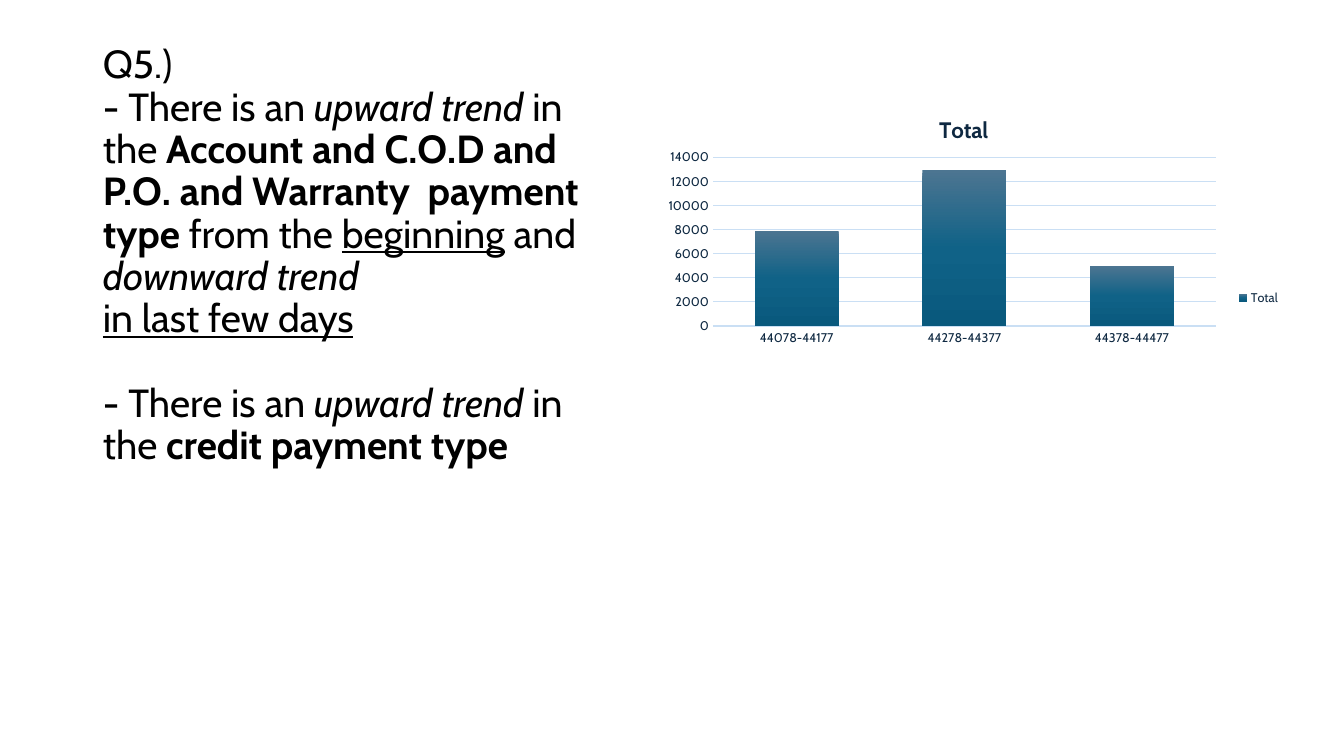
import copy

import lxml.etree
import pptx
import pptx.chart.data
import pptx.dml.color
import pptx.enum.chart
import pptx.enum.text
import pptx.oxml
import pptx.util

PX = 9071  # EMU in one px, 100.8 px to the inch
FONT, BLACK, NAVY, GRID = "Cabin", "000000", "0E2841", "CADFF4"
PLAIN, ITALIC, BOLD, UNDERLINE = {}, {"italic": True}, {"bold": True}, {"underline": True}

# Each paragraph: space before in points, then its spans
ANSWER = [
    (0, [("Q5.)", PLAIN)]),
    (0, [("- There is an ", PLAIN), ("upward trend ", ITALIC), ("in the ", PLAIN),
         ("Account and C.O.D and P.O. and Warranty  payment type ", BOLD),
         ("from the ", PLAIN), ("beginning", UNDERLINE), (" and ", PLAIN),
         ("downward trend", ITALIC)]),
    (0, [("in last few days", UNDERLINE)]),
    (30, [("- There is an", PLAIN), (" upward trend ", ITALIC), ("in the ", PLAIN),
          ("credit payment type", BOLD)]),
]
ANSWER_BOX = (93, 40, 505, 641)
CHART_BOX = (637, 97, 653, 402)
TOTALS = {"44078-44177": 7900, "44278-44377": 12900, "44378-44477": 5000}
COLUMN_STOPS = [(0, "4C7591"), (0.5, "106287"), (1, "09597D")]
PLOT_AREA = {"x": 0.116, "y": 0.15, "w": 0.77, "h": 0.42}


def emu(box):
    return [length * PX for length in box]


def colour(value):
    return pptx.dml.color.RGBColor.from_string(value)


def style_font(font, size, value, **formats):
    font.color.rgb = colour(value)
    for name, setting in {"name": FONT, "size": pptx.util.Pt(size), **formats}.items():
        setattr(font, name, setting)


def style_line(line):
    line.color.rgb = colour(GRID)
    line.width = pptx.util.Pt(0.75)


def add_answer(page):
    frame = page.shapes.add_textbox(*emu(ANSWER_BOX)).text_frame
    frame.word_wrap = True
    frame.vertical_anchor = pptx.enum.text.MSO_ANCHOR.TOP
    for index, (space, spans) in enumerate(ANSWER):
        para = frame.add_paragraph() if index else frame.paragraphs[0]
        para.line_spacing = 0.9
        para.space_before = pptx.util.Pt(space)
        for text, formats in spans:
            span = para.add_run()
            span.text = text
            style_font(span.font, 28, BLACK, **formats)


def fill_columns(series):
    fill = series.format.fill
    fill.gradient()
    fill.gradient_angle = 270
    stop_list = series.format.fill.gradient_stops
    first = series._element.xpath(".//a:gs")[0]
    for _ in range(len(COLUMN_STOPS) - len(stop_list)):
        first.addnext(copy.deepcopy(first))
    for stop, (position, value) in zip(fill.gradient_stops, COLUMN_STOPS):
        stop.position = position
        stop.color.rgb = colour(value)


def place_plot(chart):
    """Fix the inner plot area as fractions of the chart."""
    area = chart._chartSpace.chart.plotArea
    for old in area.xpath("c:layout"):
        area.remove(old)
    layout = pptx.oxml.parse_xml(
        '<c:layout xmlns:c="http://schemas.openxmlformats.org/drawingml/2006/chart">'
        '<c:manualLayout><c:layoutTarget val="inner"/><c:xMode val="edge"/>'
        '<c:yMode val="edge"/></c:manualLayout></c:layout>')
    for side, share in PLOT_AREA.items():
        tag = pptx.oxml.ns.qn("c:" + side)
        lxml.etree.SubElement(layout[0], tag).set("val", str(share))
    area.insert(0, layout)


def add_totals_chart(page):
    data = pptx.chart.data.CategoryChartData()
    data.categories = list(TOTALS)
    data.add_series("Total", list(TOTALS.values()))
    kinds = pptx.enum.chart
    chart = page.shapes.add_chart(
        kinds.XL_CHART_TYPE.COLUMN_CLUSTERED, *emu(CHART_BOX), data).chart
    style_font(chart.font, 10, BLACK)

    chart.has_title = True
    title = chart.chart_title.text_frame
    title.text = "Total"
    style_font(title.paragraphs[0].runs[0].font, 16, NAVY, bold=True)

    chart.has_legend = True
    chart.legend.position = kinds.XL_LEGEND_POSITION.RIGHT
    chart.legend.include_in_layout = False
    style_font(chart.legend.font, 9, NAVY)

    for axis in (chart.category_axis, chart.value_axis):
        axis.major_tick_mark = kinds.XL_TICK_MARK.NONE
        style_font(axis.tick_labels.font, 9, NAVY)
    style_line(chart.category_axis.format.line)
    scale = chart.value_axis
    scale.format.line.fill.background()
    style_line(scale.major_gridlines.format.line)
    for name, limit in {"minimum_scale": 0, "maximum_scale": 14000, "major_unit": 2000}.items():
        setattr(scale, name, limit)

    plot = chart.plots[0]
    for name, setting in {"gap_width": 100, "overlap": -24, "vary_by_categories": False}.items():
        setattr(plot, name, setting)
    fill_columns(plot.series[0])
    place_plot(chart)


def main():
    deck = pptx.Presentation()
    deck.slide_width = pptx.util.Inches(13.33)
    deck.slide_height = pptx.util.Inches(7.5)
    page = deck.slides.add_slide(deck.slide_layouts[6])
    add_answer(page)
    add_totals_chart(page)
    deck.save("out.pptx")


if __name__ == "__main__":
    main()
